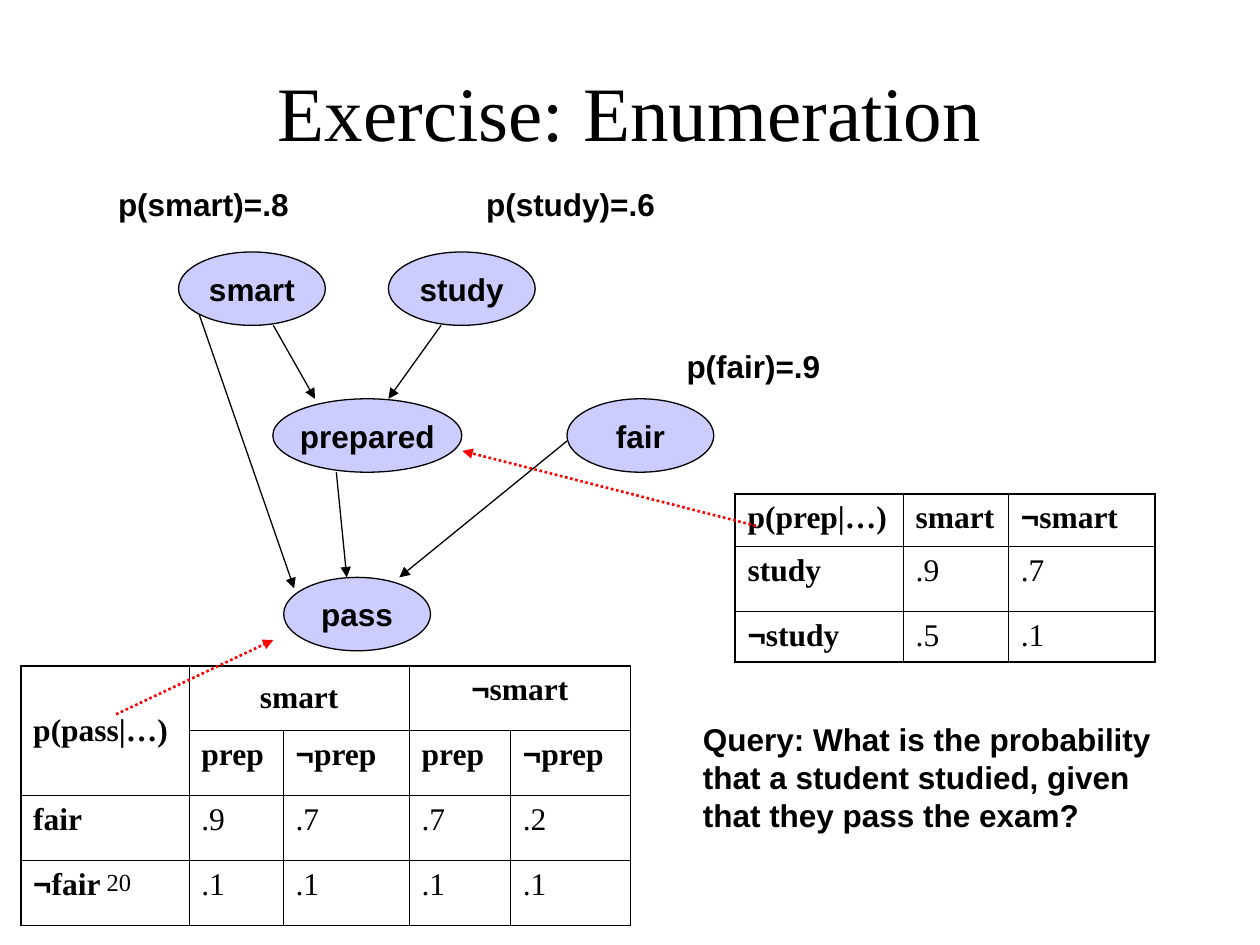
from lxml.etree import SubElement
from pptx import Presentation
from pptx.dml.color import RGBColor
from pptx.enum.dml import MSO_LINE
from pptx.enum.shapes import MSO_CONNECTOR, MSO_SHAPE
from pptx.enum.text import MSO_ANCHOR, PP_ALIGN
from pptx.oxml import parse_xml
from pptx.oxml.ns import nsdecls, qn
from pptx.util import Cm, Pt

BLACK = RGBColor(0x00, 0x00, 0x00)
LILAC = RGBColor(0xCC, 0xCC, 0xFF)
RED = RGBColor(0xFF, 0x00, 0x00)
SANS, SERIF = "Arial", "Times New Roman"
NODE_W, NODE_H = 2.96, 1.48


def add_run(p, text, font=SANS, size=18, bold=True):
    """Append a formatted run to a paragraph."""
    r = p.add_run()
    r.text = text
    for key, value in {"name": font, "size": Pt(size), "bold": bold}.items():
        setattr(r.font, key, value)
    r.font.color.rgb = BLACK


def add_text(s, box, text, wrap=True, align=PP_ALIGN.LEFT, anchor=MSO_ANCHOR.TOP, **font):
    """Place a text box."""
    tf = s.shapes.add_textbox(*map(Cm, box)).text_frame
    for key, value in {"word_wrap": wrap, "vertical_anchor": anchor}.items():
        setattr(tf, key, value)
    tf.paragraphs[0].alignment = align
    add_run(tf.paragraphs[0], text, **font)


def add_node(s, x, y, w, text):
    """Place an oval node with a centred label."""
    sp = s.shapes.add_shape(MSO_SHAPE.OVAL, Cm(x), Cm(y), Cm(w), Cm(NODE_H))
    sp.shadow.inherit = False
    sp.fill.solid()
    sp.fill.fore_color.rgb = LILAC
    sp.line.color.rgb = BLACK
    sp.line.width = Pt(0.75)
    tf = sp.text_frame
    for key, value in {"word_wrap": False, "vertical_anchor": MSO_ANCHOR.MIDDLE}.items():
        setattr(tf, key, value)
    tf.paragraphs[0].alignment = PP_ALIGN.CENTER
    add_run(tf.paragraphs[0], text)


def add_arrow(s, x, y, ends, color=BLACK, width=0.75, dash=None):
    """Draw an arrow between two points given relative to x, y."""
    x1, y1, x2, y2 = ends
    points = map(Cm, (x + x1, y + y1, x + x2, y + y2))
    sp = s.shapes.add_connector(MSO_CONNECTOR.STRAIGHT, *points)
    sp.line.color.rgb = color
    for key, value in {"width": Pt(width), "dash_style": dash}.items():
        setattr(sp.line, key, value)
    SubElement(sp.line._get_or_add_ln(), qn("a:tailEnd"), type="triangle")
    SubElement(sp._element.spPr, qn("a:effectLst"))


def set_borders(cell, edges):
    """Give a cell thick borders on outer edges and thin ones elsewhere."""
    tc_pr = cell._tc.get_or_add_tcPr()
    for i, (side, outer) in enumerate(zip("LRTB", edges)):
        width = Pt(1.08 if outer else 0.45)
        tc_pr.insert(i, parse_xml(
            f'<a:ln{side} {nsdecls("a")} w="{width}"><a:solidFill>'
            f'<a:srgbClr val="{BLACK}"/></a:solidFill></a:ln{side}>'))


def add_grid(s, x, y, cols, rows, texts, headers=1, merges=()):
    """Place a probability table with bold header rows and first column."""
    box = map(Cm, (x, y, sum(cols), sum(rows)))
    table = s.shapes.add_table(len(rows), len(cols), *box).table
    for key in ("first_row", "horz_banding"):
        setattr(table, key, False)
    for col, width in zip(table.columns, cols):
        col.width = Cm(width)
    for row, height in zip(table.rows, rows):
        row.height = Cm(height)
    for first, last in merges:
        table.cell(*first).merge(table.cell(*last))
    for i, line in enumerate(texts):
        for j, text in enumerate(line):
            cell = table.cell(i, j)
            cell.fill.background()
            set_borders(cell, (j == 0, j == len(cols) - 1, i == 0, i == len(rows) - 1))
            for key in ("margin_left", "margin_right"):
                setattr(cell, key, Cm(0.25))
            p = cell.text_frame.paragraphs[0]
            p.space_before = Pt(4.5)
            bold = i < headers or j == 0
            if text.startswith("¬"):
                add_run(p, "¬", SANS, bold=bold)
            if text:
                add_run(p, text.lstrip("¬"), SERIF, bold=bold)
    return table


def add_network(s, x, y):
    """Draw the Bayesian network with its prior probabilities."""
    for dx, dy, w, text in [
        (1.47, 1.47, NODE_W, "smart"), (5.7, 1.47, NODE_W, "study"),
        (3.37, 4.43, 3.81, "prepared"), (9.3, 4.43, NODE_W, "fair"),
        (3.59, 8.03, NODE_W, "pass"),
    ]:
        add_node(s, x + dx, y + dy, w, text)
    for ends in [
        (3.38, 2.95, 4.22, 4.43), (6.76, 2.95, 5.7, 4.43), (9.3, 5.28, 5.92, 8.03),
        (4.65, 5.91, 4.86, 8.03), (1.89, 2.74, 3.8, 8.25),
    ]:
        add_arrow(s, x, y, ends)
    for dx, dy, w, text in [
        (0, 0, 3.94, "p(smart)=.8"), (7.42, 0, 3.91, "p(study)=.6"),
        (11.46, 3.27, 3.2, "p(fair)=.9"),
    ]:
        add_text(s, (x + dx, y + dy, w, 1.02), text, wrap=False)


def add_prepared_table(s, x, y):
    """Place the table for being prepared and its pointer."""
    add_grid(s, x, y, (3.39, 2.12, 2.96), (1.06, 1.31, 1.02), [
        ("p(prep|…)", "smart", "¬smart"),
        ("study", ".9", ".7"),
        ("¬study", ".5", ".1"),
    ])
    add_arrow(s, x, y, (0.42, 0.64, -5.5, -0.87), RED, 1.5, MSO_LINE.ROUND_DOT)


def add_pass_table(s, x, y):
    """Place the table for passing and its pointer."""
    table = add_grid(s, x, y, (3.39, 1.9, 2.54, 2.04, 2.42), (1.31,) * 4, [
        ("p(pass|…)", "smart", "", "¬smart", ""),
        ("", "prep", "¬prep", "prep", "¬prep"),
        ("fair", ".9", ".7", ".7", ".2"),
        ("¬fair", ".1", ".1", ".1", ".1"),
    ], headers=2, merges=[((0, 0), (1, 0)), ((0, 1), (0, 2)), ((0, 3), (0, 4))])
    for j in (0, 1):
        table.cell(0, j).vertical_anchor = MSO_ANCHOR.MIDDLE
    for j in (1, 3):
        table.cell(0, j).text_frame.paragraphs[0].alignment = PP_ALIGN.CENTER
    add_arrow(s, x, y, (1.92, 0.98, 5.09, -0.52), RED, 1.5, MSO_LINE.ROUND_DOT)


def main():
    """Build and save the slide."""
    prs = Presentation()
    prs.slide_width, prs.slide_height = Cm(25.4), Cm(19.05)
    s = prs.slides.add_slide(prs.slide_layouts[6])
    add_text(s, (1.9, 17.35, 5.28, 1.27), "20", font=SERIF, size=14, bold=False)
    add_text(s, (1.9, 0.64, 21.6, 3.18), "Exercise: Enumeration", align=PP_ALIGN.CENTER,
             anchor=MSO_ANCHOR.MIDDLE, font=SERIF, size=44, bold=False)
    add_network(s, 2.13, 3.61)
    add_prepared_table(s, 14.82, 9.96)
    add_pass_table(s, 0.42, 13.42)
    add_text(s, (13.92, 14.4, 10.41, 2.54), "Query: What is the probability that a student "
             "studied, given that they pass the exam?")
    prs.save("out.pptx")


if __name__ == "__main__":
    main()
